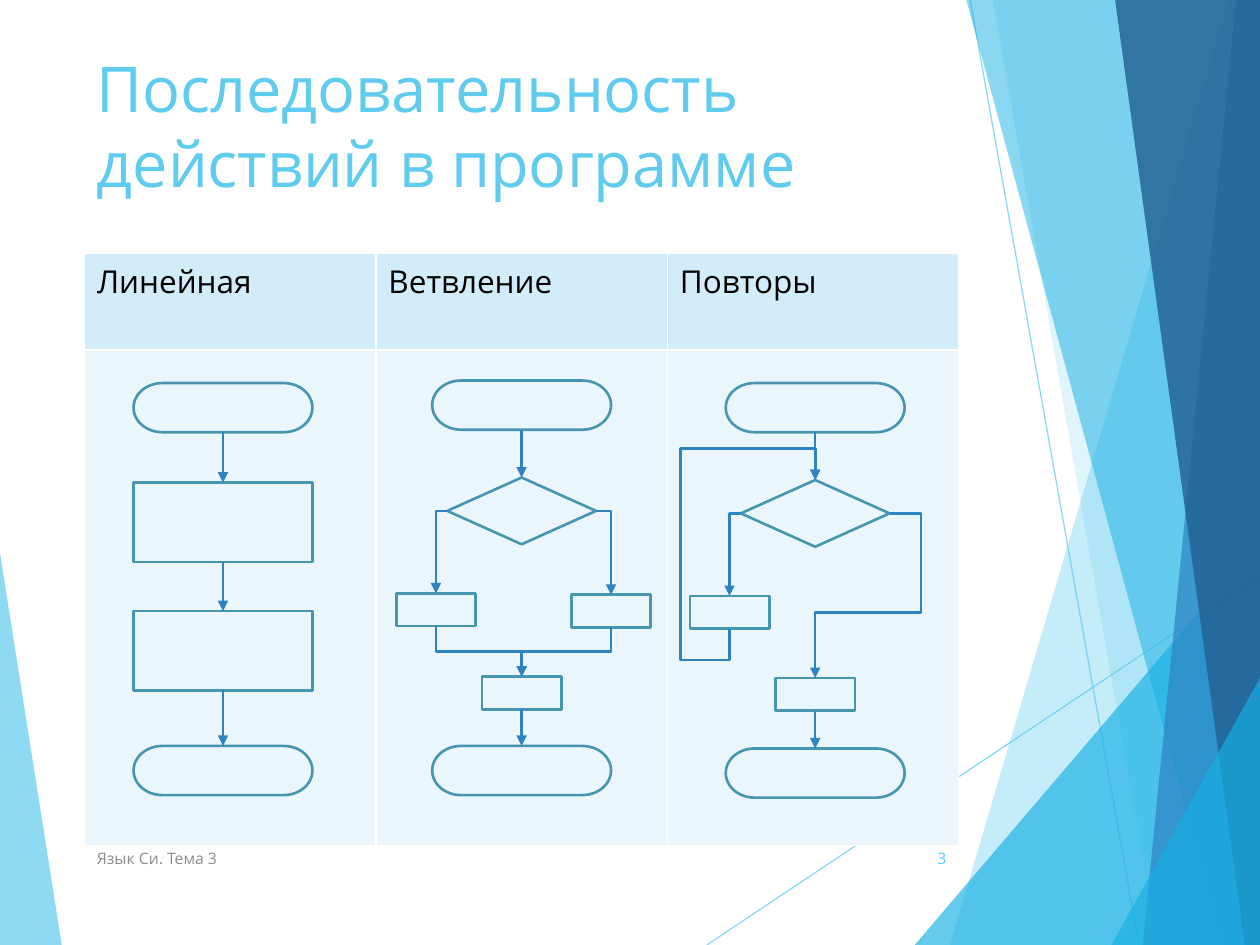
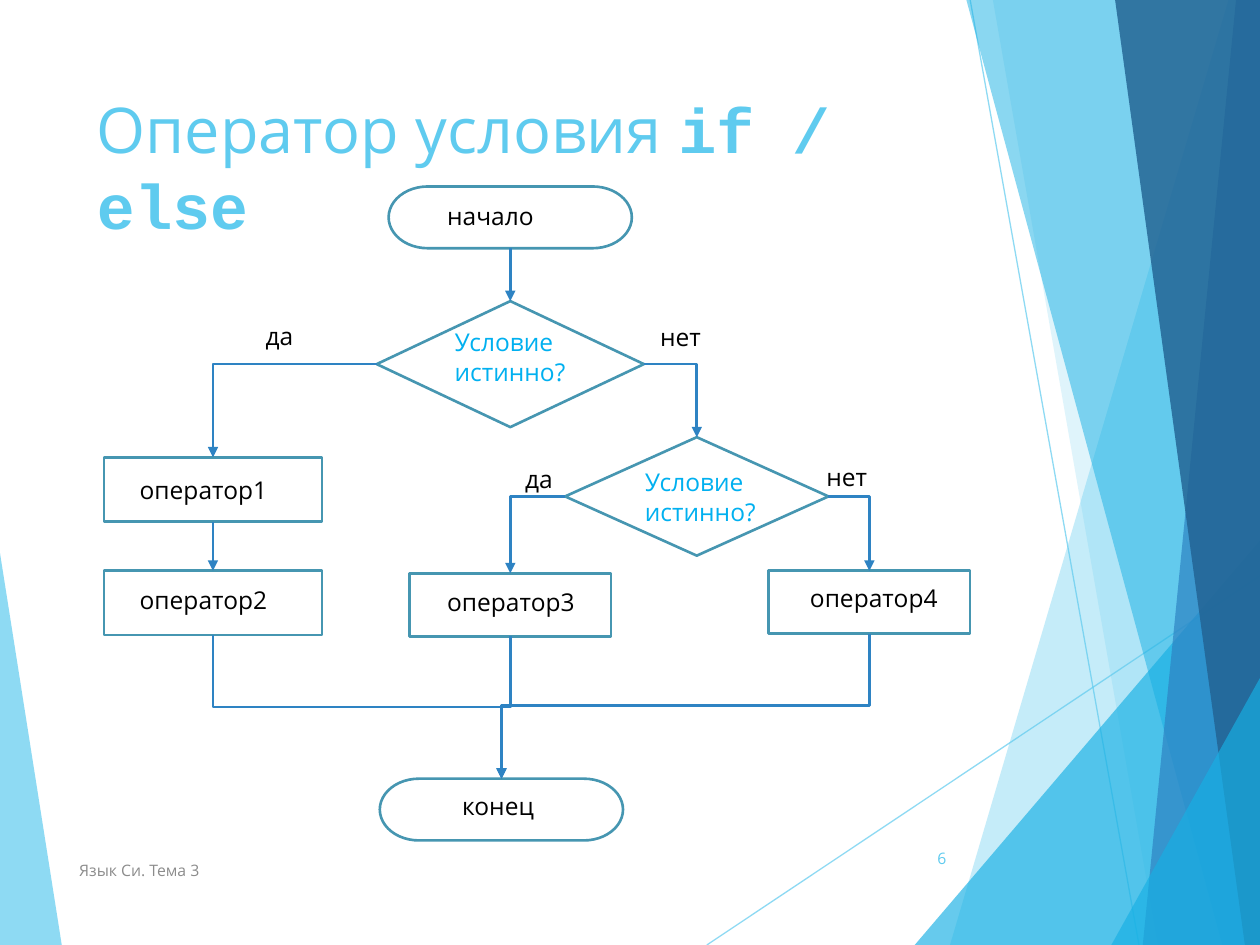
from lxml import etree
from pptx import Presentation
from pptx.dml.color import RGBColor
from pptx.enum.shapes import MSO_CONNECTOR, MSO_SHAPE
from pptx.enum.text import MSO_ANCHOR, MSO_AUTO_SIZE, PP_ALIGN
from pptx.oxml.ns import qn
from pptx.util import Inches, Pt

TERMINATOR = MSO_SHAPE.FLOWCHART_TERMINATOR
PROCESS = MSO_SHAPE.FLOWCHART_PROCESS
DECISION = MSO_SHAPE.FLOWCHART_DECISION
STRAIGHT, ELBOW = MSO_CONNECTOR.STRAIGHT, MSO_CONNECTOR.ELBOW
TOP, MIDDLE = MSO_ANCHOR.TOP, MSO_ANCHOR.MIDDLE
LEFT, RIGHT = PP_ALIGN.LEFT, PP_ALIGN.RIGHT
FIXED = MSO_AUTO_SIZE.NONE

WIDTH, HEIGHT = 10, 7.5
MARGIN, CONTENT_W = 0.67, 6.94
FONT, CODE_FONT = "Open Sans", "Courier New"
SKY, CYAN, BLUE, NAVY = "5FCBEF", "17B0E4", "2E83C3", "226292"
OUTLINE, QUESTION, GREY, BLACK, WHITE = "4696B1", "00B0F0", "8C8C8C", "000000", "FFFFFF"
FOOTER = "Язык Си. Тема 3"

# Background: colour, opacity in percent, corners
LEFT_WEDGE = (SKY, 70, [(0, 4.39), (0.49, HEIGHT), (0, HEIGHT)])
RAYS = [((5.61, HEIGHT), (WIDTH, 4.57)), ((7.7, 0), (9.04, HEIGHT))]
FACETS = [
    (SKY, 36, [(9.75, 0), (7.54, HEIGHT), (WIDTH, HEIGHT), (WIDTH, 0)]),
    (SKY, 20, [(7.88, 0), (9.19, HEIGHT), (WIDTH, HEIGHT), (WIDTH, 0)]),
    (CYAN, 66, [(7.26, HEIGHT), (WIDTH, 4.29), (WIDTH, HEIGHT)]),
    (CYAN, 50, [(7.67, 0), (9.7, HEIGHT), (WIDTH, HEIGHT), (WIDTH, 0)]),
    (BLUE, 70, [(9.81, 0), (9.07, HEIGHT), (WIDTH, HEIGHT), (WIDTH, 0)]),
    (NAVY, 82, [(8.85, 0), (9.88, HEIGHT), (WIDTH, HEIGHT), (WIDTH, 0)]),
    (CYAN, 66, [(8.82, HEIGHT), (WIDTH, 5.38), (WIDTH, HEIGHT)]),
]

# Flowchart nodes: kind, centre x, top. Kinds: preset, width, height.
# Links: from node and side, to node and side, places of the free turns
# (None for a straight arrow).
SMALL_KINDS = {
    "end": (TERMINATOR, 1.42, 0.39), "step": (PROCESS, 1.42, 0.63),
    "box": (PROCESS, 0.63, 0.26), "test": (DECISION, 1.18, 0.53),
}
LINEAR = {
    "start": ("end", 1.77, 3.04), "first": ("step", 1.77, 3.83),
    "second": ("step", 1.77, 4.85), "stop": ("end", 1.77, 5.92),
}
LINEAR_LINKS = [
    ("start", "bottom", "first", "top", None),
    ("first", "bottom", "second", "top", None),
    ("second", "bottom", "stop", "top", None),
]
BRANCH = {
    "start": ("end", 4.14, 3.02), "test": ("test", 4.14, 3.79),
    "yes": ("box", 3.46, 4.71), "no": ("box", 4.85, 4.72),
    "join": ("box", 4.14, 5.37), "stop": ("end", 4.14, 5.92),
}
BRANCH_LINKS = [
    ("start", "bottom", "test", "top", None),
    ("test", "left", "yes", "top", []),
    ("test", "right", "no", "top", []),
    ("yes", "bottom", "join", "top", [5.17]),
    ("no", "bottom", "join", "top", [5.17]),
    ("join", "bottom", "stop", "top", None),
]
LOOP = {
    "start": ("end", 6.47, 3.04), "test": ("test", 6.47, 3.81),
    "body": ("box", 5.79, 4.73), "after": ("box", 6.47, 5.38),
    "stop": ("end", 6.47, 5.94),
}
LOOP_LINKS = [
    ("start", "bottom", "test", "top", None),
    ("test", "left", "body", "top", []),
    ("body", "bottom", "test", "top", [5.24, 5.4, 3.56]),
    ("test", "right", "after", "top", [7.31, 4.86]),
    ("after", "bottom", "stop", "top", None),
]
IF_KINDS = {
    "end": (TERMINATOR, 1.93, 0.49), "step": (PROCESS, 1.73, 0.51),
    "box": (PROCESS, 1.6, 0.5), "test": (DECISION, 2.12, 1),
    "test2": (DECISION, 2.09, 0.94),
}
IF_ELSE = {
    "start": ("end", 4.05, 1.48), "outer": ("test", 4.05, 2.39),
    "op1": ("step", 1.69, 3.63), "op2": ("step", 1.69, 4.53),
    "inner": ("test2", 5.53, 3.47), "op3": ("box", 4.05, 4.55),
    "op4": ("box", 6.9, 4.53), "stop": ("end", 3.98, 6.18),
}
IF_LINKS = [
    ("start", "bottom", "outer", "top", None),
    ("outer", "left", "op1", "top", []),
    ("outer", "right", "inner", "top", []),
    ("op1", "bottom", "op2", "top", None),
    ("inner", "left", "op3", "top", []),
    ("inner", "right", "op4", "top", []),
    ("op2", "bottom", "stop", "top", [5.61]),
    ("op3", "bottom", "stop", "top", [5.61]),
    ("op4", "bottom", "stop", "top", [5.6]),
]
# Labels: text, left, top, width, colour
IF_LABELS = [
    ("Условие истинно?", 3.51, 2.55, 1.12, QUESTION),
    ("Условие истинно?", 5.02, 3.66, 1.12, QUESTION),
    ("да", 2.01, 2.5, 0.89, BLACK), ("да", 4.07, 3.63, 0.89, BLACK),
    ("нет", 5.14, 2.51, 0.89, BLACK), ("нет", 6.46, 3.62, 0.89, BLACK),
    ("оператор1", 1.01, 3.72, 1.65, BLACK), ("оператор2", 1.01, 4.59, 1.65, BLACK),
    ("оператор3", 3.45, 4.61, 1.65, BLACK), ("оператор4", 6.33, 4.58, 1.65, BLACK),
    ("начало", 3.45, 1.55, 1.41, BLACK), ("конец", 3.57, 6.23, 1.4, BLACK),
]
TABLE_HEAD = ["Линейная", "Ветвление", "Повторы"]
TABLE_ROWS = [(0.77, "D2ECF9"), (3.93, "EAF6FC")]


def rgb(value):
    """Turn a hex string into a colour."""
    return RGBColor.from_string(value)


def add_xml(parent, tag, **attrs):
    """Append a drawing element with attributes."""
    return etree.SubElement(parent, qn(tag), attrs)


def set_opacity(parent, percent):
    """Make the solid colour under an element translucent."""
    color = next(parent.iter(qn("a:srgbClr")))
    add_xml(color, "a:alpha", val=str(percent * 1000))


def write(tf, runs, color, size, align=LEFT):
    """Write one paragraph of (text, font, bold) runs."""
    p = tf.paragraphs[0]
    p.alignment = align
    for text, name, bold in runs:
        r = p.add_run()
        r.text = text
        for key, value in {"name": name, "size": Pt(size), "bold": bold}.items():
            setattr(r.font, key, value)
        r.font.color.rgb = rgb(color)


def add_text(s, runs, box, color, size, align=LEFT, anchor=TOP):
    """Add a wrapping text box."""
    tf = s.shapes.add_textbox(*map(Inches, box)).text_frame
    for key, value in {"word_wrap": True, "auto_size": FIXED, "vertical_anchor": anchor}.items():
        setattr(tf, key, value)
    write(tf, runs, color, size, align)


def add_line(s, start, end, color, width, kind=STRAIGHT):
    """Add a connector without shadow."""
    line = s.shapes.add_connector(kind, *map(Inches, (*start, *end)))
    line.line.color.rgb = rgb(color)
    line.line.width = Pt(width)
    add_xml(line._element.spPr, "a:effectLst")
    return line


def add_facet(s, color, opacity, points):
    """Add one translucent background polygon."""
    corners = [(Inches(x), Inches(y)) for x, y in points]
    builder = s.shapes.build_freeform(*corners[0])
    builder.add_line_segments(corners[1:], close=True)
    sp = builder.convert_to_shape()
    sp.shadow.inherit = False
    sp.fill.solid()
    sp.fill.fore_color.rgb = rgb(color)
    sp.line.fill.background()
    set_opacity(sp._element.spPr, opacity)


def bend(arrow, start, end, turns, vertical):
    """Route an elbow arrow through its turns, leaving start along one axis."""
    delta = [b - a for a, b in zip(start, end)]
    axes = (1, 0) if vertical else (0, 1)
    w, h = (abs(delta[axis]) for axis in axes)
    # A quarter turn sends the route down and, across, to the left
    flip_h = delta[axes[0]] < 0
    flip_v = delta[0] > 0 if vertical else delta[1] < 0
    rotation = 90 if vertical else 0
    if (vertical and flip_v and not flip_h) or (not turns and flip_h and not flip_v):
        rotation, flip_h, flip_v = rotation + 180, not flip_h, not flip_v
    centre = [(a + b) / 2 for a, b in zip(start, end)]
    frame = {"left": centre[0] - w / 2, "top": centre[1] - h / 2, "width": w, "height": h}
    for key, value in frame.items():
        setattr(arrow, key, Inches(value))
    xfrm = arrow._element.spPr.find(qn("a:xfrm"))
    for key, value in {"rot": rotation * 60000, "flipH": int(flip_h), "flipV": int(flip_v)}.items():
        xfrm.set(key, str(value))
    geometry = arrow._element.spPr.find(qn("a:prstGeom"))
    geometry.set("prst", f"bentConnector{len(turns) + 2}")
    guides = geometry.find(qn("a:avLst"))
    if guides is None:
        guides = add_xml(geometry, "a:avLst")
    for i, turn in enumerate(turns):
        axis = axes[i % 2]
        share = round((turn - start[axis]) / delta[axis] * 100000)
        add_xml(guides, "a:gd", name=f"adj{i + 1}", fmla=f"val {share}")


def add_flowchart(s, kinds, nodes, links):
    """Draw the nodes, then the arrows between their sides."""
    sites = {}
    for name, (kind, x, top) in nodes.items():
        preset, w, h = kinds[kind]
        sp = s.shapes.add_shape(preset, *map(Inches, (x - w / 2, top, w, h)))
        sp.shadow.inherit = False
        sp.fill.background()
        sp.line.color.rgb = rgb(OUTLINE)
        sp.line.width = Pt(1.5)
        sites[name] = {
            "top": (x, top), "bottom": (x, top + h),
            "left": (x - w / 2, top + h / 2), "right": (x + w / 2, top + h / 2),
        }
    for source, side, target, target_side, turns in links:
        start, end = sites[source][side], sites[target][target_side]
        arrow = add_line(s, start, end, BLUE, 1.5, STRAIGHT if turns is None else ELBOW)
        add_xml(arrow.line._get_or_add_ln(), "a:tailEnd", type="triangle")
        if turns is not None:
            bend(arrow, start, end, turns, side == "bottom")


def add_table(s):
    """Add the three-column table that holds the small flowcharts."""
    heights = [height for height, _ in TABLE_ROWS]
    box = (MARGIN, 2.01, CONTENT_W, sum(heights))
    table = s.shapes.add_table(2, len(TABLE_HEAD), *map(Inches, box)).table
    for row, (height, fill) in zip(table.rows, TABLE_ROWS):
        row.height = Inches(height)
        for cell in row.cells:
            props = cell._tc.get_or_add_tcPr()
            for side in ("a:lnL", "a:lnR", "a:lnT", "a:lnB"):
                border = add_xml(props, side, w=str(Pt(1)))
                add_xml(add_xml(border, "a:solidFill"), "a:srgbClr", val=WHITE)
            cell.fill.solid()
            cell.fill.fore_color.rgb = rgb(fill)
    for cell, text in zip(table.rows[0].cells, TABLE_HEAD):
        write(cell.text_frame, [(text, FONT, False)], BLACK, 18)


def add_slide(prs, title, title_box, number, footer_at):
    """Add a slide with background, title, footer and number."""
    s = prs.slides.add_slide(prs.slide_layouts[6])
    add_facet(s, *LEFT_WEDGE)
    for start, end in RAYS:
        set_opacity(add_line(s, start, end, SKY, 0.75)._element.spPr, 70)
    for facet in FACETS:
        add_facet(s, *facet)
    add_text(s, title, title_box, SKY, 36)
    add_text(s, [(FOOTER, FONT, False)], (*footer_at, 5.06, 0.4), GREY, 9, anchor=MIDDLE)
    add_text(s, [(number, FONT, False)], (7.05, 6.61, 0.56, 0.4), SKY, 9, RIGHT, MIDDLE)
    return s


prs = Presentation()
prs.slide_width, prs.slide_height = Inches(WIDTH), Inches(HEIGHT)

s = add_slide(prs, [("Последовательность действий в программе", FONT, False)],
              (MARGIN, 0.34, CONTENT_W, 1.44), "3", (MARGIN, 6.61))
add_table(s)
for nodes, links in [(LINEAR, LINEAR_LINKS), (BRANCH, BRANCH_LINKS), (LOOP, LOOP_LINKS)]:
    add_flowchart(s, SMALL_KINDS, nodes, links)

s = add_slide(prs, [("Оператор условия ", FONT, False), ("if / else", CODE_FONT, True)],
              (MARGIN, 0.67, 7.4, 1.44), "6", (0.53, 6.71))
add_flowchart(s, IF_KINDS, IF_ELSE, IF_LINKS)
for text, left, top, width, color in IF_LABELS:
    height = 0.57 if color == QUESTION else 0.34
    add_text(s, [(text, FONT, False)], (left, top, width, height), color, 14)

prs.save("out.pptx")
